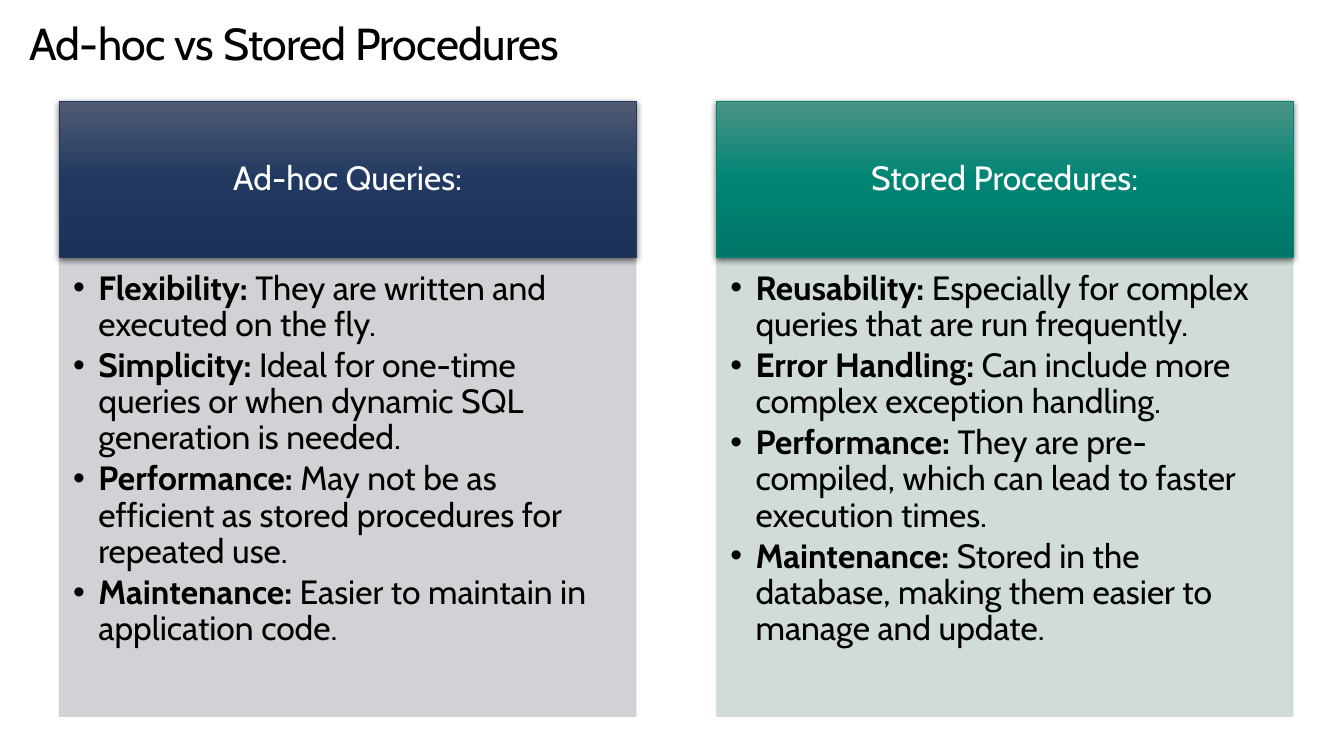
from dataclasses import dataclass

from lxml import etree
from pptx import Presentation
from pptx.dml.color import RGBColor
from pptx.enum.shapes import MSO_SHAPE
from pptx.enum.text import MSO_ANCHOR, PP_ALIGN
from pptx.oxml.ns import qn
from pptx.util import Pt

RECT = MSO_SHAPE.RECTANGLE
TOP, MIDDLE = MSO_ANCHOR.TOP, MSO_ANCHOR.MIDDLE
LEFT, CENTER = PP_ALIGN.LEFT, PP_ALIGN.CENTER


@dataclass(frozen=True)
class Theme:
    font: str = "Cabin"
    title: int = 32
    body: int = 24
    ink: str = "000000"
    light: str = "FFFFFF"
    blue: tuple = ("505B73", "213961", "1B3259")
    green: tuple = ("4B9385", "008575", "007668")
    edges: tuple = ("243A5E", "008575")
    panels: tuple = ("CDCED2", "CCD9D6")


THEME = Theme()
TITLE = "Ad-hoc vs Stored Procedures"
COLUMNS = [
    ("Ad-hoc Queries:", THEME.blue, THEME.edges[0], THEME.panels[0], [
        ("Flexibility: ", "They are written and executed on the fly."),
        ("Simplicity: ", "Ideal for one-time queries or when dynamic SQL "
                         "generation is needed."),
        ("Performance: ", "May not be as efficient as stored procedures for "
                          "repeated use."),
        ("Maintenance: ", "Easier to maintain in application code."),
    ]),
    ("Stored Procedures:", THEME.green, THEME.edges[1], THEME.panels[1], [
        ("Reusability: ", "Especially for complex queries that are run "
                          "frequently."),
        ("Error Handling: ", "Can include more complex exception handling."),
        ("Performance: ", "They are pre-compiled, which can lead to faster "
                          "execution times."),
        ("Maintenance: ", "Stored in the database, making them easier to "
                          "manage and update."),
    ]),
]


def add_node(parent, tag, **attrs):
    node = etree.SubElement(parent, qn(tag))
    for key, value in attrs.items():
        node.set(key, str(value))
    return node


def set_frame(frame, insets, anchor):
    frame.word_wrap = True
    frame.vertical_anchor = anchor
    (frame.margin_left, frame.margin_top,
     frame.margin_right, frame.margin_bottom) = map(Pt, insets)


def add_run(para, text, color, size=THEME.body, bold=False):
    run = para.add_run()
    run.text = text
    font = run.font
    font.name, font.size, font.bold = THEME.font, Pt(size), bold
    font.color.rgb = RGBColor.from_string(color)
    return run


def add_rect(slide, box, edge):
    shape = slide.shapes.add_shape(RECT, *map(Pt, box))
    shape.shadow.inherit = False
    shape.line.color.rgb = RGBColor.from_string(edge)
    shape.line.width = Pt(0.5)
    return shape


def shade(shape, colors):
    """Fill from top to bottom with evenly spaced colours."""
    shape.fill.gradient()
    shape.fill.gradient_angle = 270
    stops = shape.element.spPr.find(".//" + qn("a:gsLst"))
    for old in list(stops):
        stops.remove(old)
    for i, color in enumerate(colors):
        stop = add_node(stops, "a:gs", pos=i * 100000 // (len(colors) - 1))
        add_node(stop, "a:srgbClr", val=color)


def cast(shape):
    """Add a soft shadow just below the shape."""
    effects = shape.element.spPr.find(qn("a:effectLst"))
    shadow = add_node(effects, "a:outerShdw", blurRad=Pt(4.5), dist=Pt(1.5),
                      dir=5400000, algn="ctr", rotWithShape=0)
    color = add_node(shadow, "a:srgbClr", val=THEME.ink)
    add_node(color, "a:alpha", val=63000)


def add_title(slide, box):
    frame = slide.shapes.add_textbox(*map(Pt, box)).text_frame
    set_frame(frame, (0, 0, 0, 0), TOP)
    para = frame.paragraphs[0]
    para.line_spacing = Pt(36.2)
    run = add_run(para, TITLE, THEME.ink, THEME.title)
    run.font._element.set("spc", "-50")


def add_head(slide, box, text, colors, edge):
    shape = add_rect(slide, box, edge)
    shade(shape, colors)
    cast(shape)
    set_frame(shape.text_frame, (13.5, 8, 13.5, 8), MIDDLE)
    para = shape.text_frame.paragraphs[0]
    para.alignment = CENTER
    para.line_spacing = 0.9
    add_run(para, text, THEME.light)


def add_panel(slide, box, color, points):
    shape = add_rect(slide, box, color)
    shape.fill.solid()
    shape.fill.fore_color.rgb = RGBColor.from_string(color)
    for node in shape.element.spPr.iter(qn("a:srgbClr")):
        add_node(node, "a:alpha", val=90000)
    frame = shape.text_frame
    set_frame(frame, (10, 10, 13.5, 15), TOP)
    for i, (term, text) in enumerate(points):
        para = frame.add_paragraph() if i else frame.paragraphs[0]
        para.alignment = LEFT
        para.line_spacing = 0.9
        para.space_after = Pt(3.4)
        props = para._p.get_or_add_pPr()
        props.set("marL", str(Pt(18)))
        props.set("indent", str(-Pt(18)))
        add_node(props, "a:buFont", typeface="Arial")
        add_node(props, "a:buChar", char="•")
        add_run(para, term, THEME.ink, bold=True)
        add_run(para, text, THEME.ink)


def add_column(slide, box, text, colors, edge, fill, points):
    left, top, width, height = box
    head = 111
    add_panel(slide, (left, top + head, width, height - head), fill, points)
    add_head(slide, (left, top, width, head), text, colors, edge)


def main():
    deck = Presentation()
    deck.slide_width, deck.slide_height = Pt(960), Pt(540)
    slide = deck.slides.add_slide(deck.slide_layouts[6])
    add_title(slide, (21, 13.7, 864, 36))
    left, top, width, height, gap = 42.3, 72.6, 412, 439.2, 57.4
    for i, column in enumerate(COLUMNS):
        box = (left + i * (width + gap), top, width, height)
        add_column(slide, box, *column)
    deck.save("out.pptx")


if __name__ == "__main__":
    main()
